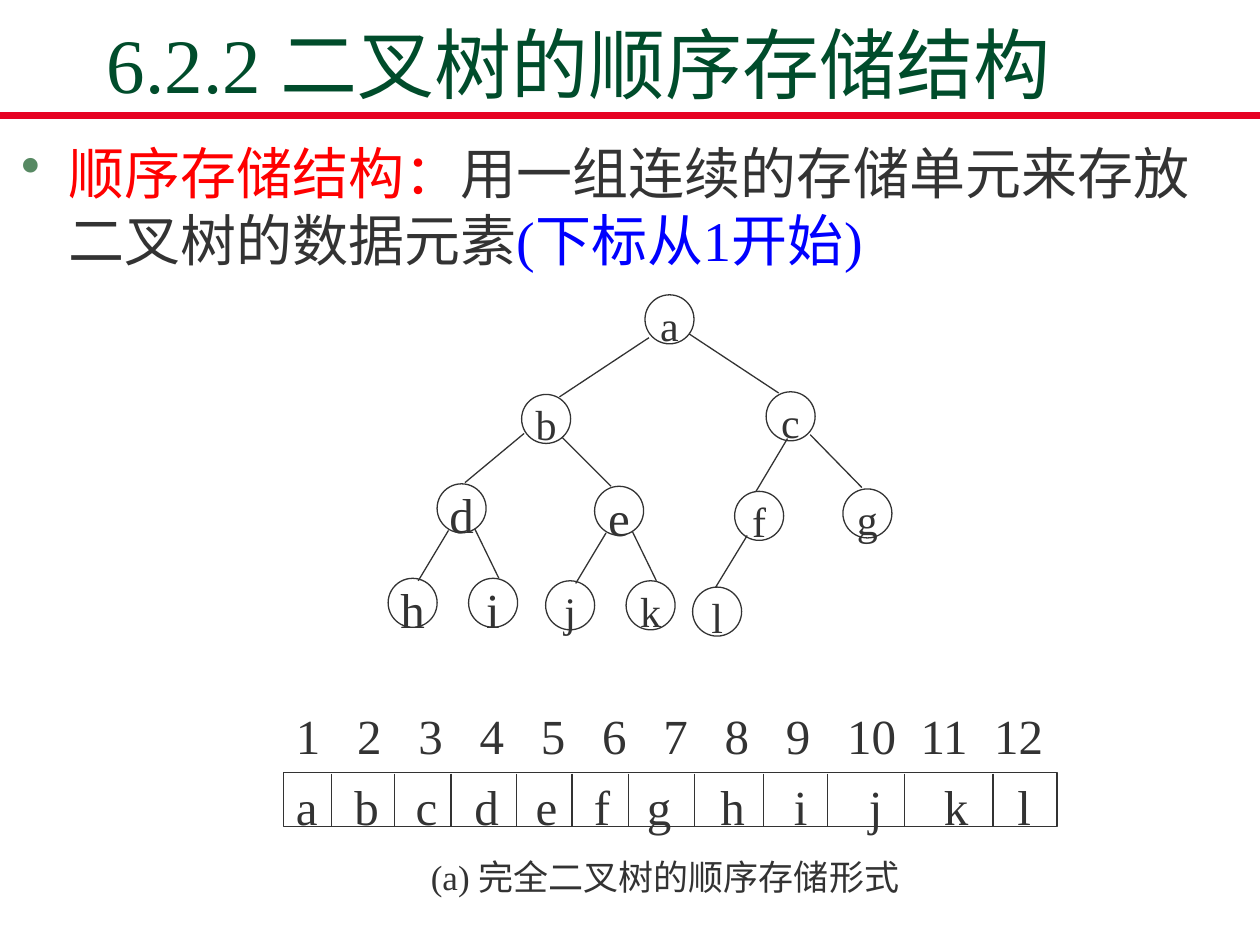
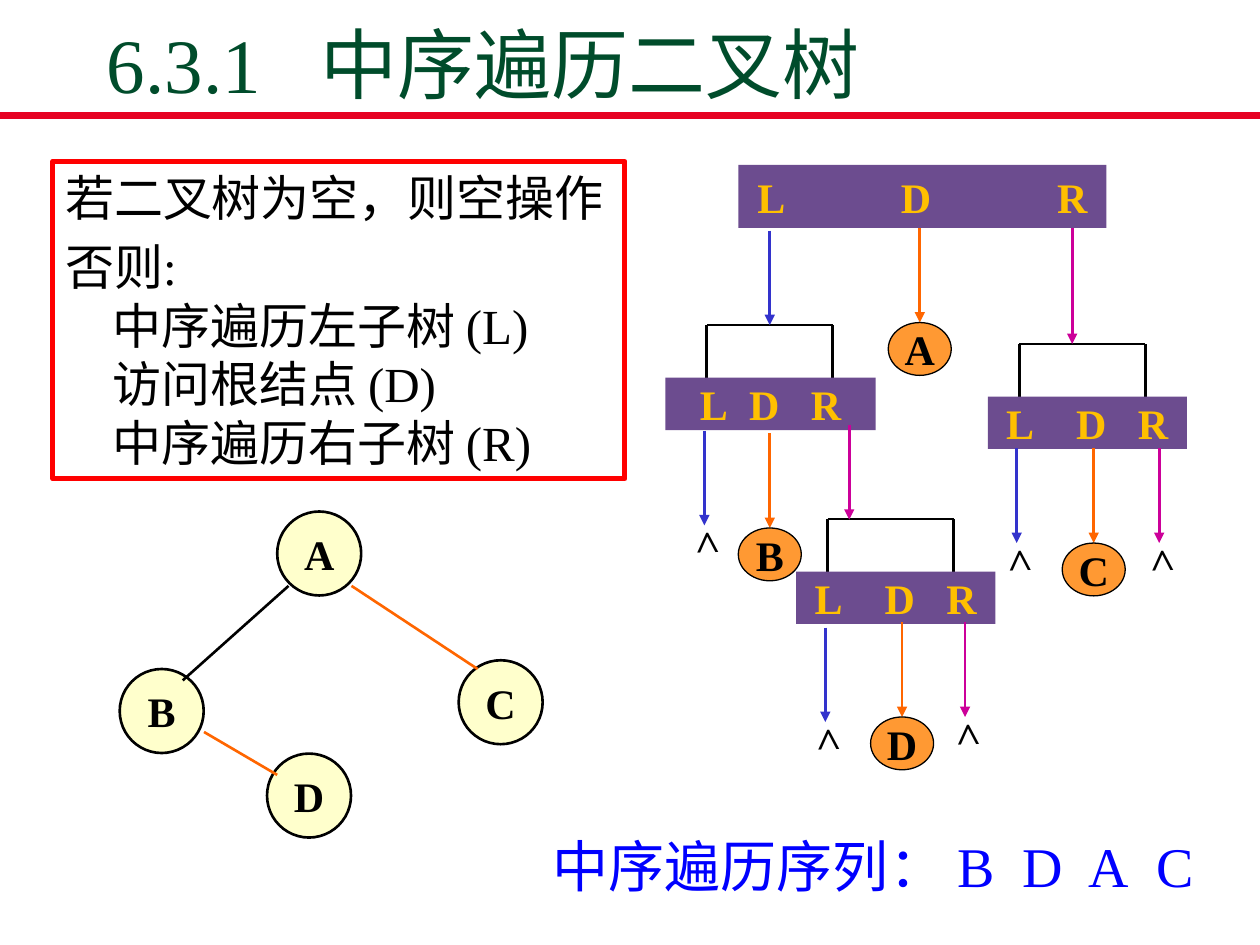
from lxml.etree import SubElement
from pptx import Presentation
from pptx.dml.color import RGBColor
from pptx.enum.shapes import MSO_CONNECTOR, MSO_SHAPE
from pptx.enum.text import MSO_ANCHOR, MSO_AUTO_SIZE, PP_ALIGN
from pptx.oxml.ns import qn
from pptx.util import Pt

COLOURS = {
    "title": "004C2B", "rule": "E60223", "bullet": "578963", "ink": "333333",
    "red": "FF0000", "blue": "0000FF", "black": "000000", "cream": "FFFFCC",
    "purple": "6C4C8F", "gold": "FFC000", "visit": "FF9933",
    "left": "3333CC", "root": "FF6600", "right": "CC0099",
}
FONT = "Times New Roman"
NODE_SIZE = 28
TREE_NODE_SIZE = 48
ARROW_LENGTH = 54
BRACKET_WIDTH, BRACKET_HEIGHT = 72, 30


def colour(name):
    return RGBColor.from_string(COLOURS[name])


def set_values(target, values):
    for name, value in values.items():
        setattr(target, name, value)


def add_tabs(paragraph, stops):
    tab_list = SubElement(paragraph._p.get_or_add_pPr(), qn("a:tabLst"))
    for stop in stops:
        SubElement(tab_list, qn("a:tab"), pos=str(Pt(stop)), algn="l")


def add_hanging_indent(paragraph, bullet=None):
    properties = paragraph._p.get_or_add_pPr()
    properties.set("marL", str(Pt(27)))
    properties.set("indent", str(Pt(-27)))
    if bullet:
        bullet_colour = SubElement(properties, qn("a:buClr"))
        SubElement(bullet_colour, qn("a:srgbClr"), val=COLOURS["bullet"])
        SubElement(properties, qn("a:buChar"), char=bullet)


def write_spans(paragraph, spans, size, bold=False):
    """Add (text, colour name) pairs to one paragraph; \\v breaks a line."""
    for text, colour_name in spans:
        for number, line in enumerate(text.split("\v")):
            if number:
                paragraph.add_line_break()
            span = paragraph.add_run()
            span.text = line
            set_values(span.font, {"name": FONT, "size": Pt(size), "bold": bold})
            span.font.color.rgb = colour(colour_name)


def set_frame(box, wrap=True, anchor=MSO_ANCHOR.MIDDLE, left=7.2, right=7.2):
    frame = box.text_frame
    set_values(frame, {
        "word_wrap": wrap, "vertical_anchor": anchor,
        "margin_left": Pt(left), "margin_right": Pt(right),
        "margin_top": Pt(3.6), "margin_bottom": Pt(3.6),
    })
    return frame


def add_text(page, place, spans, size, tabs=(), spacing=None, bold=False, **frame_values):
    box = page.shapes.add_textbox(*map(Pt, place))
    paragraph = set_frame(box, **frame_values).paragraphs[0]
    if tabs:
        add_tabs(paragraph, tabs)
    if spacing:
        paragraph.line_spacing = spacing
    write_spans(paragraph, spans, size, bold)
    return box


def add_panel(page, kind, place, fill=None, line=None, width=0.75):
    panel = page.shapes.add_shape(kind, *map(Pt, place))
    panel.shadow.inherit = False
    if fill:
        panel.fill.solid()
        panel.fill.fore_color.rgb = colour(fill)
    else:
        panel.fill.background()
    if line:
        panel.line.color.rgb = colour(line)
        panel.line.width = Pt(width)
    else:
        panel.line.fill.background()
    return panel


def add_node(page, place, label, size=24, ink="black", bold=True, spacing=None, **outline):
    node = add_panel(page, MSO_SHAPE.OVAL, place, **outline)
    paragraph = set_frame(node, wrap=False).paragraphs[0]
    set_values(paragraph, {"alignment": PP_ALIGN.CENTER, "line_spacing": spacing})
    write_spans(paragraph, [(label, ink)], size, bold)


def add_line(page, ends, colour_name, width, arrow=False):
    line = page.shapes.add_connector(MSO_CONNECTOR.STRAIGHT, *map(Pt, ends))
    line.line.color.rgb = colour(colour_name)
    line.line.width = Pt(width)
    if arrow:
        SubElement(line.line._get_or_add_ln(), qn("a:tailEnd"), type="triangle")
    SubElement(line._element.spPr, qn("a:effectLst"))


def add_arrow(page, x, top, colour_name, length=ARROW_LENGTH):
    add_line(page, (x, top, x, top + length), colour_name, 1.5, arrow=True)


def add_page(deck, title, title_tabs=()):
    page = deck.slides.add_slide(deck.slide_layouts[6])
    add_line(page, (0, 66, 720, 66), "rule", 4.5)
    add_text(page, (54, 18.7, 612, 46.8), [(title, "title")], 44,
             title_tabs, anchor=MSO_ANCHOR.BOTTOM)
    return page


def add_bar(page, place, inset, tabs):
    """Band holding the three traversal steps L, D and R."""
    bar = add_panel(page, MSO_SHAPE.RECTANGLE, place, fill="purple")
    paragraph = set_frame(bar, left=inset, right=0).paragraphs[0]
    add_tabs(paragraph, tabs)
    paragraph.alignment = PP_ALIGN.LEFT
    write_spans(paragraph, [("L\tD\tR", "gold")], 24, True)


def add_call(page, bracket_left, top, bar_left, bar_width, inset, tabs):
    """Bracket that opens a recursive call, with its bar beneath."""
    right, bottom = bracket_left + BRACKET_WIDTH, top + BRACKET_HEIGHT
    add_line(page, (bracket_left, top, right, top), "black", 1.5)
    for x in (bracket_left, right):
        add_line(page, (x, top, x, bottom), "black", 1.5)
    add_bar(page, (bar_left, bottom, bar_width, 30), inset, tabs)


def add_visit(page, x, top, label):
    add_arrow(page, x, top, "root")
    add_node(page, (x - 18, top + ARROW_LENGTH, 36, 30.2), label,
             fill="visit", line="black")


def add_empty_subtree(page, x, top, colour_name):
    add_arrow(page, x, top, colour_name)
    mark = add_text(page, (x - 14.8, top + 45, 30.2, 36), [(">", "black")], 24,
                    bold=True, anchor=MSO_ANCHOR.TOP)
    mark.text_frame.auto_size = MSO_AUTO_SIZE.SHAPE_TO_FIT_TEXT
    mark.rotation = 268.3


def draw_complete_tree(page):
    nodes = [
        ("a", 368.6, 168.5, 24), ("b", 298.1, 225.4, 24), ("c", 437.8, 223.9, 24),
        ("d", 249.8, 276.5, 28), ("e", 339.8, 277.9, 28), ("f", 419.8, 280.8, 24),
        ("g", 481.7, 279.4, 24), ("h", 221.8, 330.5, 28), ("i", 267.8, 330.5, 28),
        ("j", 311.8, 331.9, 24), ("k", 357.8, 331.9, 24), ("l", 395.8, 335.5, 24),
    ]
    edges = [
        (370.8, 193, 319.7, 226.8), (393.8, 190.8, 445, 224.6),
        (299.5, 247.7, 265.7, 275.8), (321.1, 249.8, 349.2, 277.9),
        (450, 250.6, 432, 280.8), (463, 248.4, 492.5, 278.6),
        (256.3, 303.1, 239, 331.9), (271.4, 302.4, 285.1, 330.5),
        (346.3, 304.6, 329, 333.4), (361.4, 303.8, 375.1, 331.9),
        (427, 306, 409, 335.5),
    ]
    for label, left, top, size in nodes:
        add_node(page, (left, top, NODE_SIZE, NODE_SIZE), label, size,
                 ink="ink", bold=False, spacing=1.2, line="ink")
    for ends in edges:
        add_line(page, ends, "ink", 0.75)


def draw_storage_array(page):
    left, top, width, height = 162, 441.4, 442, 31
    dividers = [189.4, 225.4, 257.8, 295.2, 326.9, 359.3, 396.7, 436.3, 473, 517, 567.4]
    index_stops = [35 * step for step in range(1, 10)] + [357, 399]
    letter_stops = [33.4, 68.4, 102, 137, 170.3, 200.6, 242.6, 284.6, 327.4, 370.2, 412.2]
    indices = "\t".join(str(index) for index in range(1, 13))
    add_panel(page, MSO_SHAPE.RECTANGLE, (left, top, width, height), line="ink")
    rows = [(indices, 401, index_stops), ("\t".join("abcdefghijkl"), top, letter_stops)]
    for text, row_top, stops in rows:
        add_text(page, (left, row_top, width, height), [(text, "ink")], 28,
                 stops, 1.2, right=0)
    for x in dividers:
        add_line(page, (x, top + 0.7, x, top + height + 0.4), "ink", 0.75)
    add_text(page, (234, 484.6, 290, 28), [("(a) 完全二叉树的顺序存储形式", "ink")],
             20, spacing=1.2, left=12.2, right=0)


def draw_storage_page(deck):
    page = add_page(deck, "6.2.2 二叉树的顺序存储结构")
    box = page.shapes.add_textbox(Pt(5), Pt(75.6), Pt(709.2), Pt(92.9))
    paragraph = set_frame(box, anchor=MSO_ANCHOR.TOP).paragraphs[0]
    add_hanging_indent(paragraph, "•")
    write_spans(paragraph, [
        ("顺序存储结构：", "red"),
        ("用一组连续的存储单元来存放二叉树的数据元素", "ink"),
        ("(下标从1开始)", "blue"),
    ], 32)
    draw_complete_tree(page)
    draw_storage_array(page)


def draw_algorithm(page):
    panel = add_panel(page, MSO_SHAPE.RECTANGLE, (30.2, 92.2, 326.9, 181.4),
                      line="red", width=3)
    frame = set_frame(panel, anchor=MSO_ANCHOR.TOP)
    steps = "否则:\v中序遍历左子树 (L)\v访问根结点 (D)\v中序遍历右子树 (R)"
    for number, text in enumerate(["若二叉树为空，则空操作", steps]):
        paragraph = frame.add_paragraph() if number else frame.paragraphs[0]
        add_hanging_indent(paragraph)
        set_values(paragraph, {"alignment": PP_ALIGN.LEFT,
                               "space_before": Pt(5.6 * number)})
        write_spans(paragraph, [(text, "black")], 28)


def draw_sample_tree(page):
    nodes = [("A", 158.4, 292.3), ("D", 152.6, 430.6), ("B", 68.4, 382.3), ("C", 262.1, 377.3)]
    edges = [
        ((164.9, 334.8, 104.4, 388.8), "black"),
        ((200.9, 334.8, 272.9, 382.3), "root"),
        ((116.6, 418.3, 158.4, 442.8), "root"),
    ]
    for label, left, top in nodes:
        add_node(page, (left, top, TREE_NODE_SIZE, TREE_NODE_SIZE), label,
                 fill="cream", line="black", width=1.5)
    for ends, colour_name in edges:
        add_line(page, ends, colour_name, 1.5)


def draw_call_trace(page):
    add_bar(page, (422, 94.3, 210.2, 36), 10.8, (82, 171.3))
    narrow = {"bar_width": 113.8, "inset": 10.5, "tabs": (40, 75.3)}
    add_call(page, 403.9, 185.8, 380.2, 120.2, 19.8, (28, 63.3))
    add_call(page, 473, 296.6, 455, **narrow)
    add_call(page, 582.5, 196.6, 564.5, **narrow)
    add_arrow(page, 439.9, 131.8, "left")
    add_arrow(page, 485.3, 243, "right")
    add_arrow(page, 612.7, 130.3, "right", 66.3)
    for label, x, top in [("A", 525.6, 130.3), ("B", 439.9, 247.7),
                          ("C", 625, 256.3), ("D", 515.5, 355.7)]:
        add_visit(page, x, top, label)
    for x, top, side in [(402.5, 246.2, "left"), (471.6, 358.6, "left"),
                         (551.5, 355.7, "right"), (581, 256.3, "left"),
                         (662.4, 256.3, "right")]:
        add_empty_subtree(page, x, top, side)


def draw_traversal_page(deck):
    page = add_page(deck, "6.3.1\t中序遍历二叉树", (122,))
    draw_algorithm(page)
    draw_sample_tree(page)
    draw_call_trace(page)
    add_text(page, (308.9, 463.7, 393.1, 54), [("中序遍历序列：\tB\tD\tA\tC", "blue")],
             32, (231, 268.5, 306, 345), 1.2, anchor=MSO_ANCHOR.TOP)


def main():
    deck = Presentation()
    set_values(deck, {"slide_width": Pt(720), "slide_height": Pt(540)})
    draw_storage_page(deck)
    draw_traversal_page(deck)
    deck.save("out.pptx")


if __name__ == "__main__":
    main()
